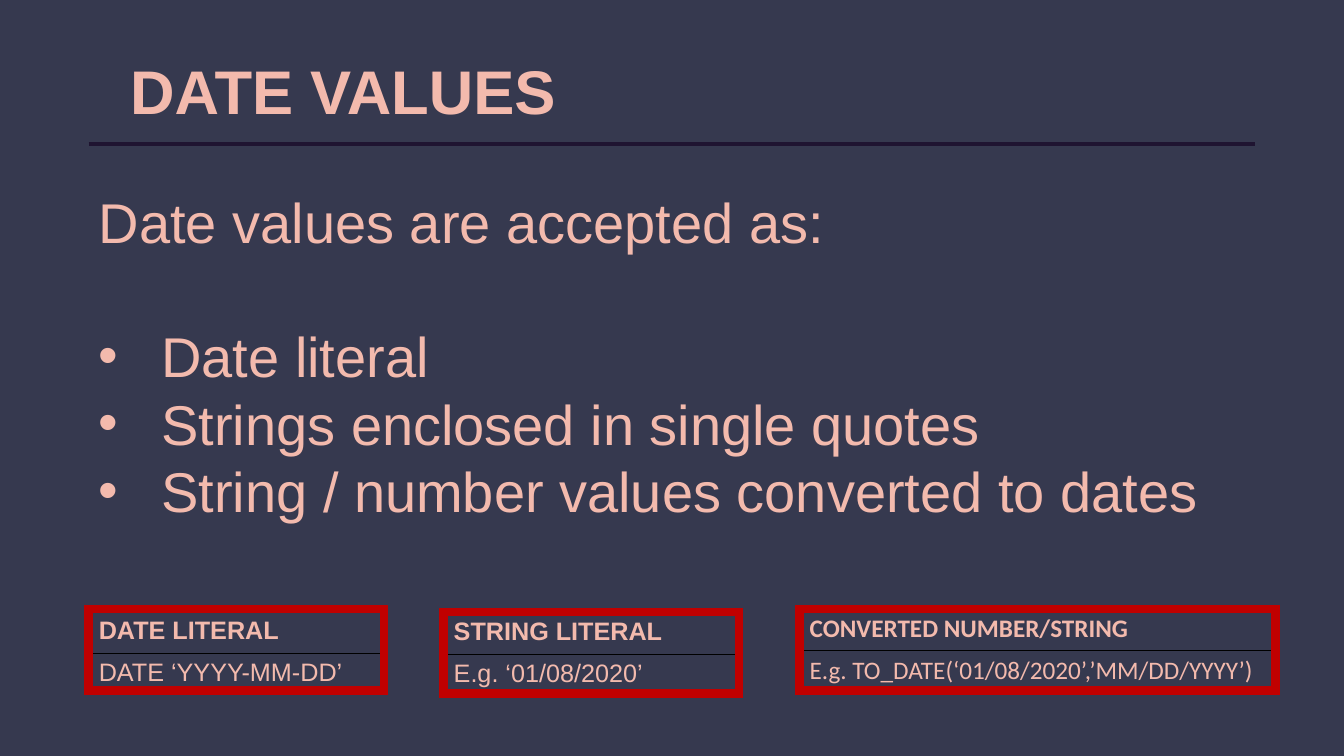
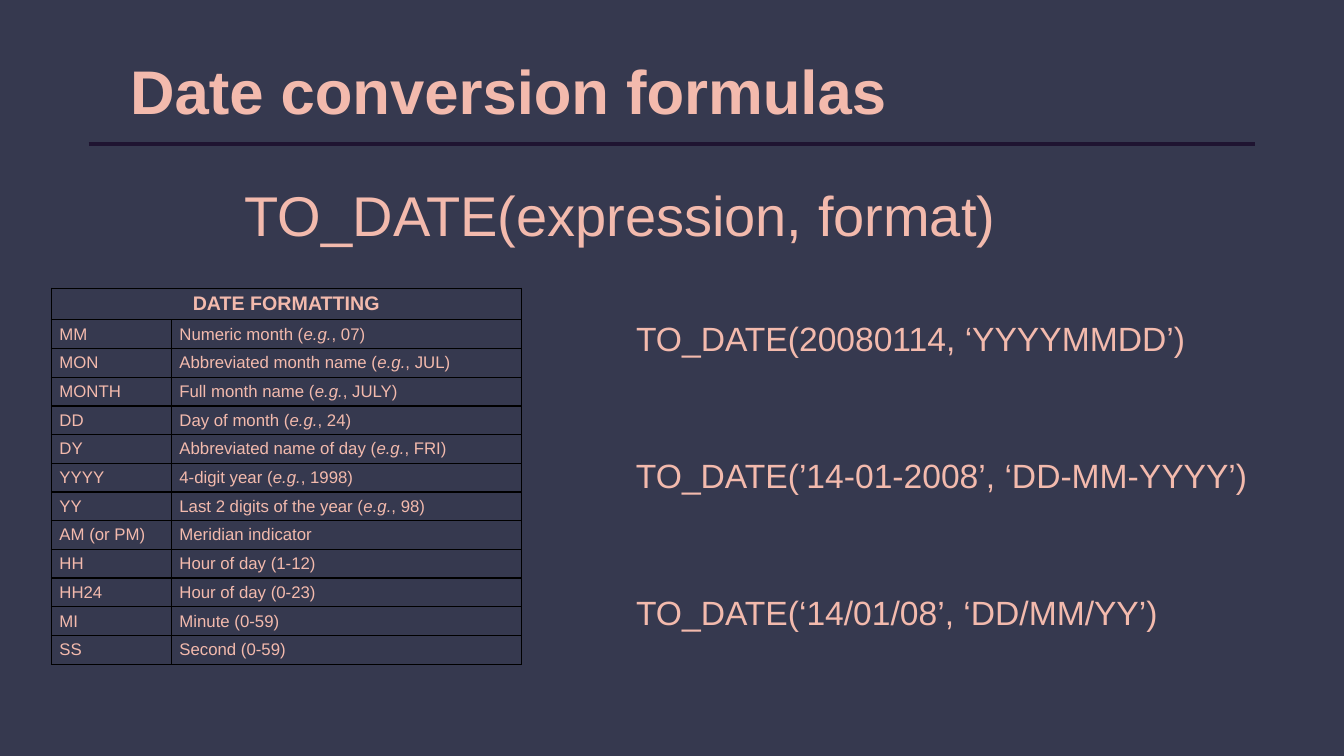
from lxml import etree
from pptx import Presentation
from pptx import util as u
from pptx.dml.color import RGBColor
from pptx.enum import shapes, text
from pptx.oxml import ns

NAVY = RGBColor(0x36, 0x39, 0x4F)
PEACH = RGBColor(0xF3, 0xBA, 0xAD)
PLUM = RGBColor(0x1F, 0x14, 0x31)
RED = RGBColor(0xC0, 0x00, 0x00)
BLACK = RGBColor(0x00, 0x00, 0x00)
ITALIC_MARK = "e.g."

# left, top, width, height in inches
TITLE_BOX = (1.19, 0.51, 9.04, 0.77)
RULE_LEFT, RULE_RIGHT, RULE_TOP = 0.88, 12.45, 1.43
INDENT = 0.62

ACCEPTED_VALUES = [
    "Date literal",
    "Strings enclosed in single quotes",
    "String / number values converted to dates",
]

# heading, example, font, left, width, table top, frame top
EXAMPLES = [
    ("DATE LITERAL", "DATE ‘YYYY-MM-DD’", "Arial", 0.88, 2.93, 6.07, 6.04),
    ("STRING LITERAL", "E.g. ‘01/08/2020’", "Arial", 4.4, 2.93, 6.08, 6.07),
    ("CONVERTED NUMBER/STRING", "E.g. TO_DATE(‘01/08/2020’,’MM/DD/YYYY’)",
     "Calibri", 7.93, 4.72, 6.04, 6.04),
]

FORMAT_CODES = [
    ("MM", "Numeric month (e.g., 07)"),
    ("MON", "Abbreviated month name (e.g., JUL)"),
    ("MONTH", "Full month name (e.g., JULY)"),
    ("DD", "Day of month (e.g., 24)"),
    ("DY", "Abbreviated name of day (e.g., FRI)"),
    ("YYYY", "4-digit year (e.g., 1998)"),
    ("YY", "Last 2 digits of the year (e.g., 98)"),
    ("AM (or PM)", "Meridian indicator"),
    ("HH", "Hour of day (1-12)"),
    ("HH24", "Hour of day (0-23)"),
    ("MI", "Minute (0-59)"),
    ("SS", "Second (0-59)"),
]

CALLS = [
    ("TO_DATE(20080114, ‘YYYYMMDD’)", 5.69),
    ("TO_DATE(’14-01-2008’, ‘DD-MM-YYYY’)", 6.34),
    ("TO_DATE(‘14/01/08’, ‘DD/MM/YY’)", 5.59),
]


def inches(box):
    return [u.Inches(length) for length in box]


def place(shape, box):
    shape.left, shape.top, shape.width, shape.height = inches(box)


def write(para, words, size=18, font="Arial", bold=False, align=text.PP_ALIGN.LEFT):
    """Fill a paragraph, with the abbreviation mark in italics."""
    para.alignment = align
    for piece in words.partition(ITALIC_MARK):
        if piece:
            span = para.add_run()
            span.text = piece
            span.font.size = u.Pt(size)
            span.font.name = font
            span.font.bold = bold
            span.font.italic = piece == ITALIC_MARK
            span.font.color.rgb = PEACH


def add_label(page, box, words, size):
    label = page.shapes.add_textbox(*inches(box))
    label.text_frame.word_wrap = False
    write(label.text_frame.paragraphs[0], words, size=size)


def set_bullet(para, symbol=None):
    """Give the paragraph a hanging bullet, or none."""
    props = para._p.get_or_add_pPr()
    indent = u.Inches(INDENT) if symbol else 0
    props.set("marL", str(indent))
    props.set("indent", str(-indent))
    if symbol:
        etree.SubElement(props, ns.qn("a:buChar"), char=symbol)
    else:
        etree.SubElement(props, ns.qn("a:buNone"))


# Tables
def style_cell(cell):
    """Black 1 pt borders and no fill."""
    props = cell._tc.get_or_add_tcPr()
    for side in ("lnL", "lnR", "lnT", "lnB"):
        line = etree.SubElement(props, ns.qn("a:" + side), w=str(u.Pt(1)))
        fill = etree.SubElement(line, ns.qn("a:solidFill"))
        etree.SubElement(fill, ns.qn("a:srgbClr"), val=str(BLACK))
    cell.fill.background()


def add_grid(page, left, top, widths, heights):
    box = (left, top, sum(widths), sum(heights))
    grid = page.shapes.add_table(len(heights), len(widths), *inches(box)).table
    grid.first_row = grid.horz_banding = False
    for column, width in zip(grid.columns, widths):
        column.width = u.Inches(width)
    for row, height in zip(grid.rows, heights):
        row.height = u.Inches(height)
    for cell in grid.iter_cells():
        style_cell(cell)
    return grid


def add_example(page, heading, example, font, left, width, top):
    grid = add_grid(page, left, top, [width], [0.41, 0.41])
    for row, words in enumerate((heading, example)):
        para = grid.cell(row, 0).text_frame.paragraphs[0]
        write(para, words, font=font, bold=row == 0)


def add_frame(page, box):
    frame = page.shapes.add_shape(shapes.MSO_SHAPE.RECTANGLE, *inches(box))
    frame.shadow.inherit = False
    frame.fill.background()
    frame.line.color.rgb = RED
    frame.line.width = u.Pt(6)
    etree.SubElement(frame.line._get_or_add_ln(), ns.qn("a:miter"), lim="800000")


def add_format_table(page, left, top, height):
    header = 0.31
    row_height = (height - header) / len(FORMAT_CODES)
    grid = add_grid(page, left, top, [1.19, 3.47],
                    [header] + [row_height] * len(FORMAT_CODES))
    for cell in grid.iter_cells():
        cell.vertical_anchor = text.MSO_ANCHOR.MIDDLE
        cell.margin_left = cell.margin_right = u.Inches(0.08)
        cell.margin_top = cell.margin_bottom = u.Inches(0.04)
    grid.cell(0, 0).merge(grid.cell(0, 1))
    write(grid.cell(0, 0).text_frame.paragraphs[0], "DATE FORMATTING",
          size=14, bold=True, align=text.PP_ALIGN.CENTER)
    for row, entry in enumerate(FORMAT_CODES, start=1):
        for column, words in enumerate(entry):
            write(grid.cell(row, column).text_frame.paragraphs[0], words, size=12)


# Slides
def add_page(deck, layout, heading):
    """Slide with the shared title and rule."""
    page = deck.slides.add_slide(deck.slide_layouts.get_by_name(layout))
    title = page.shapes.title
    place(title, TITLE_BOX)
    title.text_frame.auto_size = text.MSO_AUTO_SIZE.NONE
    title.text_frame.vertical_anchor = text.MSO_ANCHOR.MIDDLE
    write(title.text_frame.paragraphs[0], heading, size=44, bold=True)
    rule = page.shapes.add_connector(
        shapes.MSO_CONNECTOR.STRAIGHT,
        *inches((RULE_LEFT, RULE_TOP, RULE_RIGHT, RULE_TOP)))
    rule.line.color.rgb = PLUM
    rule.line.width = u.Pt(3)
    etree.SubElement(rule._element.spPr, ns.qn("a:effectLst"))
    return page


def add_values_list(body, box):
    place(body, box)
    frame = body.text_frame
    frame.auto_size = text.MSO_AUTO_SIZE.NONE
    for index, words in enumerate(["Date values are accepted as:"] + ACCEPTED_VALUES):
        para = frame.add_paragraph() if index else frame.paragraphs[0]
        para.line_spacing = u.Pt(48)
        para.space_before = u.Pt(0)
        para.space_after = u.Pt(0 if index else 48)
        set_bullet(para, "•" if index else None)
        write(para, words, size=40)


def build_values_page(deck):
    page = add_page(deck, "Title and Content", "DATE VALUES")
    add_values_list(page.placeholders[1], (RULE_LEFT, 1.81, RULE_RIGHT - RULE_LEFT, 3.47))
    for heading, example, font, left, width, top, frame_top in EXAMPLES:
        add_example(page, heading, example, font, left, width, top)
        add_frame(page, (left, frame_top, width, 0.81))


def build_formulas_page(deck):
    page = add_page(deck, "Title Only", "Date conversion formulas")
    add_label(page, (2.33, 1.74, 7.77, 0.77), "TO_DATE(expression, format)", 40)
    add_format_table(page, 0.51, 2.86, 3.73)
    for index, (call, width) in enumerate(CALLS):
        add_label(page, (6.21, 3.1 + index * 1.36, width, 0.5), call, 24)


def main():
    deck = Presentation()
    deck.slide_width, deck.slide_height = inches((13.33, 7.5))
    background = deck.slide_master.background.fill
    background.solid()
    background.fore_color.rgb = NAVY
    build_values_page(deck)
    build_formulas_page(deck)
    deck.save("out.pptx")


if __name__ == "__main__":
    main()
